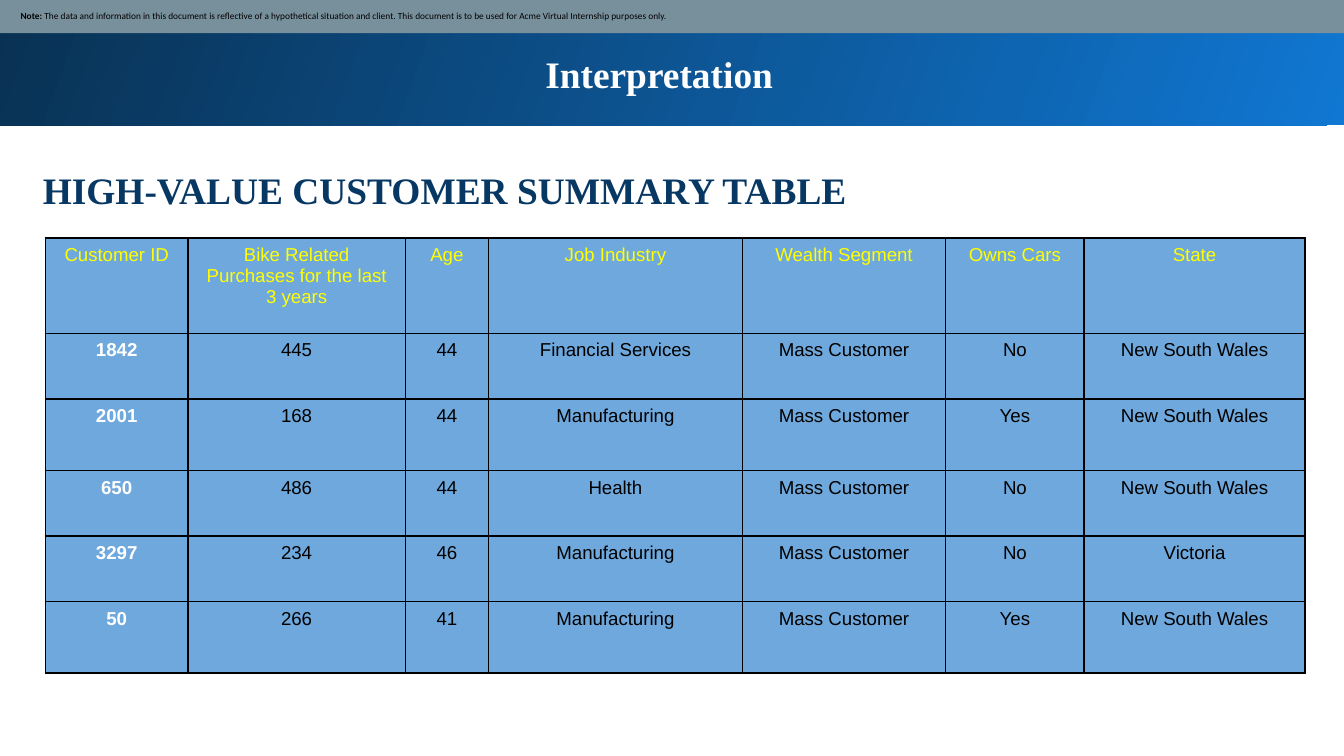
from lxml import etree
from pptx import Presentation
from pptx.dml.color import RGBColor
from pptx.enum.shapes import MSO_SHAPE
from pptx.enum.text import MSO_ANCHOR, PP_ALIGN
from pptx.oxml.ns import qn
from pptx.util import Cm, Pt

RECT = MSO_SHAPE.RECTANGLE
MIDDLE = MSO_ANCHOR.MIDDLE
LEFT, CENTER = PP_ALIGN.LEFT, PP_ALIGN.CENTER

COLORS = {
    "bright": "1077D2", "navy": "093153", "heading": "073763", "note": "78909C",
    "cell": "6FA8DC", "header": "FFFF00", "white": "FFFFFF", "black": "000000",
}
TITLE = "Interpretation"
HEADING = "HIGH-VALUE CUSTOMER SUMMARY TABLE"
NOTE = [
    ("Note: ", True),
    ("The data and information in this document is reflective of a hypothetical "
     "situation and client. This document is to be used for Acme Virtual "
     "Internship purposes only.", False),
]
CUSTOMERS = [
    ("Customer ID", "Bike Related Purchases for the last 3 years", "Age",
     "Job Industry", "Wealth Segment", "Owns Cars", "State"),
    ("1842", "445", "44", "Financial Services", "Mass Customer", "No", "New South Wales"),
    ("2001", "168", "44", "Manufacturing", "Mass Customer", "Yes", "New South Wales"),
    ("650", "486", "44", "Health", "Mass Customer", "No", "New South Wales"),
    ("3297", "234", "46", "Manufacturing", "Mass Customer", "No", "Victoria"),
    ("50", "266", "41", "Manufacturing", "Mass Customer", "Yes", "New South Wales"),
]
COL_WIDTHS = [2.69, 4.11, 1.57, 4.8, 3.84, 2.62, 4.17]
ROW_HEIGHTS = [1.8, 1.24, 1.35, 1.24, 1.24, 1.35]


def rgb(name):
    return RGBColor.from_string(COLORS[name])


def style(r, font, size, color, bold=False):
    r.font.name = font
    r.font.size = Pt(size)
    r.font.bold = bold
    r.font.color.rgb = rgb(color)


def set_margins(obj, x, y):
    obj.margin_left = obj.margin_right = Cm(x)
    obj.margin_top = obj.margin_bottom = Cm(y)


def add_bar(slide, x, y, w, h):
    sp = slide.shapes.add_shape(RECT, Cm(x), Cm(y), Cm(w), Cm(h))
    sp.shadow.inherit = False
    sp.line.fill.background()
    return sp


def add_heading(slide, text, x, y, w, h, color, align, spacing):
    tf = slide.shapes.add_textbox(Cm(x), Cm(y), Cm(w), Cm(h)).text_frame
    tf.word_wrap = True
    set_margins(tf, 0.25, 0.25)
    tf.text = text
    p = tf.paragraphs[0]
    p.alignment = align
    p.line_spacing = spacing
    style(p.runs[0], "Times New Roman", 20, color, True)


def add_borders(cell):
    tc_pr = cell._tc.get_or_add_tcPr()
    for i, side in enumerate(("lnL", "lnR", "lnT", "lnB")):
        ln = etree.Element(qn("a:" + side), w=str(Pt(1)))
        fill = etree.SubElement(ln, qn("a:solidFill"))
        etree.SubElement(fill, qn("a:srgbClr"), val=COLORS["black"])
        tc_pr.insert(i, ln)


def cell_style(row, col):
    if row == 0:
        return "header", False
    return ("white", True) if col == 0 else ("black", False)


prs = Presentation()
prs.slide_width, prs.slide_height = Cm(25.4), Cm(14.29)
slide = prs.slides.add_slide(prs.slide_layouts[6])

band = add_bar(slide, -0.03, 0.03, 25.53, 2.34)
band.fill.gradient()
band.fill.gradient_angle = 160
for stop, name, position in zip(band.fill.gradient_stops, ("bright", "navy"), (0, 1)):
    stop.color.rgb = rgb(name)
    stop.position = position

add_heading(slide, TITLE, 0.56, 0.71, 23.8, 1.37, "white", CENTER, 1.0)
add_heading(slide, HEADING, 0.56, 2.79, 21.13, 2.41, "heading", LEFT, 1.15)

note = add_bar(slide, -0.03, -0.03, 25.48, 0.66)
note.fill.solid()
note.fill.fore_color.rgb = rgb("note")
tf = note.text_frame
tf.vertical_anchor = MIDDLE
set_margins(tf, 0.13, 0.13)
tf.margin_left = Cm(0.42)
p = tf.paragraphs[0]
p.alignment = LEFT
for text, bold in NOTE:
    r = p.add_run()
    r.text = text
    style(r, "Calibri", 5, "black", bold)

table = slide.shapes.add_table(
    len(CUSTOMERS), len(COL_WIDTHS), Cm(0.86), Cm(4.5),
    Cm(sum(COL_WIDTHS)), Cm(sum(ROW_HEIGHTS))).table
table.horz_banding = False
table.first_row = False
for column, width in zip(table.columns, COL_WIDTHS):
    column.width = Cm(width)
for row, height in zip(table.rows, ROW_HEIGHTS):
    row.height = Cm(height)
for i, values in enumerate(CUSTOMERS):
    for j, value in enumerate(values):
        cell = table.cell(i, j)
        set_margins(cell, 0.25, 0.13)
        cell.fill.solid()
        cell.fill.fore_color.rgb = rgb("cell")
        add_borders(cell)
        cell.text_frame.text = value
        p = cell.text_frame.paragraphs[0]
        p.alignment = CENTER
        style(p.runs[0], "Arial", 10, *cell_style(i, j))

prs.save("out.pptx")
